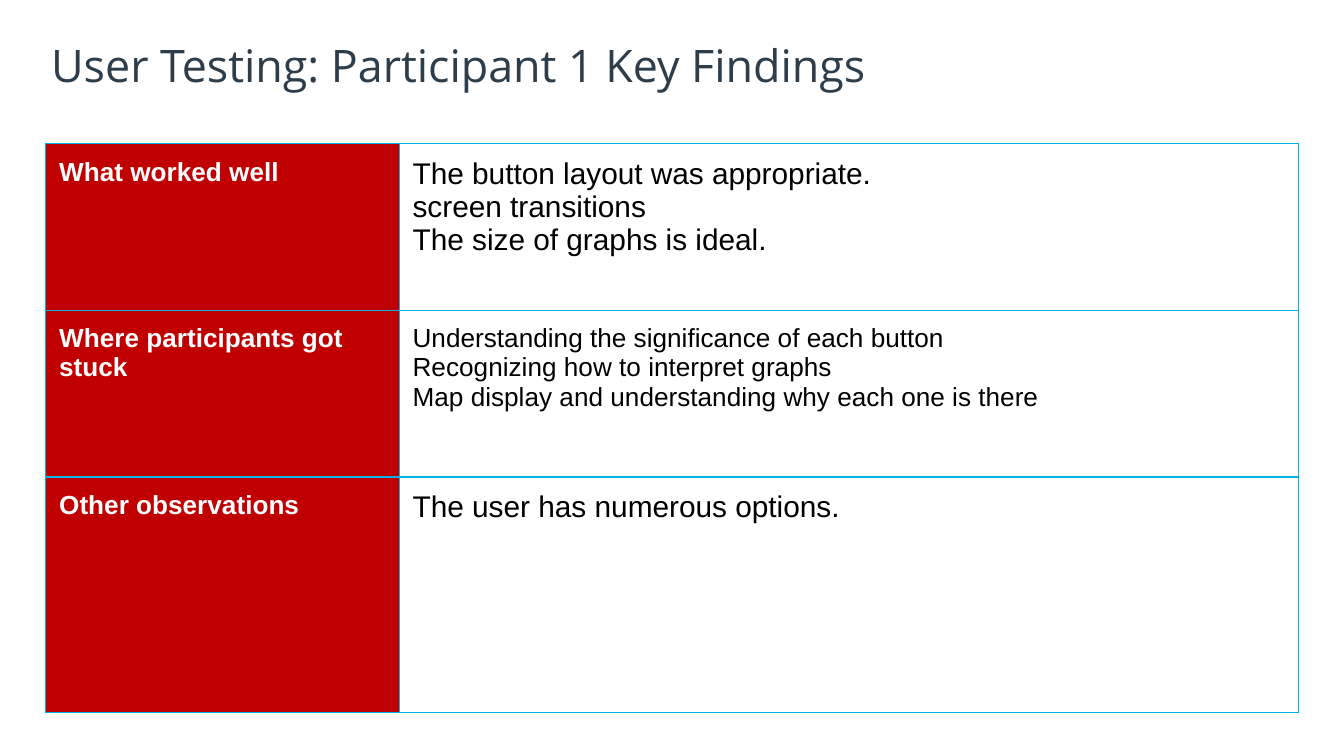
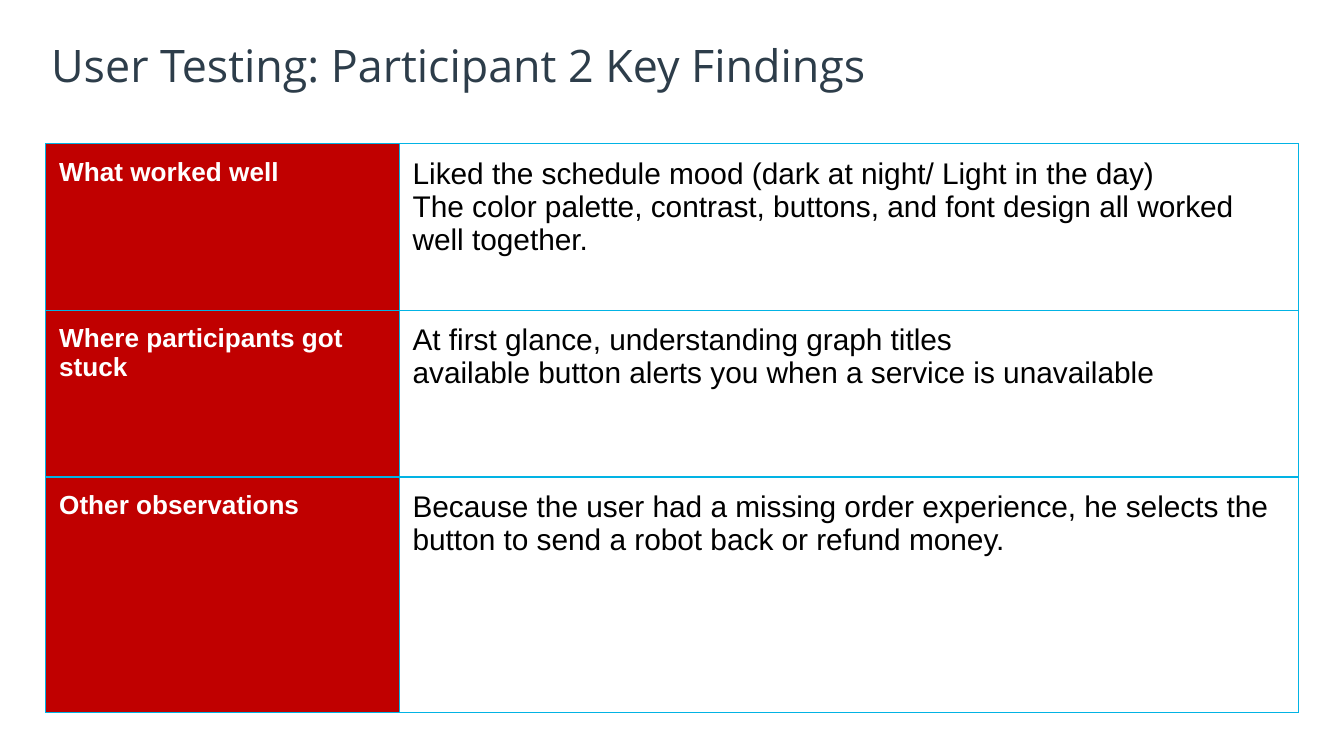
"""Build the key findings slides of the user testing, one per participant."""
from lxml.etree import SubElement
from pptx import Presentation
from pptx.dml.color import RGBColor
from pptx.enum.text import MSO_ANCHOR, MSO_AUTO_SIZE, PP_ALIGN
from pptx.oxml.ns import qn
from pptx.util import Inches, Pt

SLATE = RGBColor(0x2D, 0x3D, 0x4A)
RED = RGBColor(0xC0, 0x00, 0x00)
CYAN = RGBColor(0x02, 0xB3, 0xE4)
WHITE = RGBColor(0xFF, 0xFF, 0xFF)
BLACK = RGBColor(0x00, 0x00, 0x00)

LEFT, WIDTH = Inches(0.34), Inches(9.32)
COLUMN_WIDTHS = [2.63, 6.69]
ROW_HEIGHTS = [1.24, 1.24, 1.75]
MARGINS = ["margin_left", "margin_top", "margin_right", "margin_bottom"]
TOPICS = ["What worked well", "Where participants got stuck", "Other observations"]
FINDINGS = [
    [
        (16, ["The button layout was appropriate.",
              "screen transitions",
              "The size of graphs is ideal."]),
        (14, ["Understanding the significance of each button",
              "Recognizing how to interpret graphs",
              "Map display and understanding why each one is there"]),
        (16, ["The user has numerous options."]),
    ],
    [
        (16, ["Liked the schedule mood (dark at night/ Light in the day)",
              "The color palette, contrast, buttons, and font design all worked well together."]),
        (16, ["At first glance, understanding graph titles",
              "available button alerts you when a service is unavailable"]),
        (16, ["Because the user had a missing order experience, he selects the button "
              "to send a robot back or refund money."]),
    ],
]


def write(frame, lines, size, name, color, bold=False):
    frame.text = "\n".join(lines)
    font_format = {"size": Pt(size), "name": name, "bold": bold}
    for paragraph in frame.paragraphs:
        paragraph.alignment = PP_ALIGN.LEFT
        for run in paragraph.runs:
            for attribute, value in font_format.items():
                setattr(run.font, attribute, value)
            run.font.color.rgb = color


def format_cell(cell, fill):
    for margin in MARGINS:
        setattr(cell, margin, Inches(0.1))
    cell.vertical_anchor = MSO_ANCHOR.TOP
    properties = cell._tc.get_or_add_tcPr()
    for side in ["a:lnL", "a:lnR", "a:lnT", "a:lnB"]:
        line = SubElement(properties, qn(side), w=str(Pt(0.75)))
        SubElement(SubElement(line, qn("a:solidFill")), qn("a:srgbClr"), val=str(CYAN))
    cell.fill.solid()
    cell.fill.fore_color.rgb = fill


presentation = Presentation()
presentation.slide_width = Inches(10)
presentation.slide_height = Inches(5.625)

for number, findings in enumerate(FINDINGS, start=1):
    slide = presentation.slides.add_slide(presentation.slide_layouts[5])

    title = slide.shapes.title
    title.left, title.top, title.width, title.height = LEFT, Inches(0.24), WIDTH, Inches(0.63)
    title_format = {"auto_size": MSO_AUTO_SIZE.NONE, "vertical_anchor": MSO_ANCHOR.TOP,
                    "word_wrap": True, **dict.fromkeys(MARGINS, Inches(0.04))}
    for attribute, value in title_format.items():
        setattr(title.text_frame, attribute, value)
    write(title.text_frame, [f"User Testing: Participant {number} Key Findings"],
          24, "Open Sans", SLATE)

    table = slide.shapes.add_table(len(TOPICS), 2, LEFT, Inches(1.07), WIDTH,
                                   Inches(sum(ROW_HEIGHTS))).table
    table.first_row = table.horz_banding = False
    for column, width in zip(table.columns, COLUMN_WIDTHS):
        column.width = Inches(width)
    for row, height, topic, (size, lines) in zip(table.rows, ROW_HEIGHTS, TOPICS, findings):
        row.height = Inches(height)
        topic_cell, finding_cell = row.cells
        format_cell(topic_cell, RED)
        format_cell(finding_cell, WHITE)
        write(topic_cell.text_frame, [topic], 14, "Arial", WHITE, bold=True)
        write(finding_cell.text_frame, lines, size, "Arial", BLACK)

presentation.save("out.pptx")
